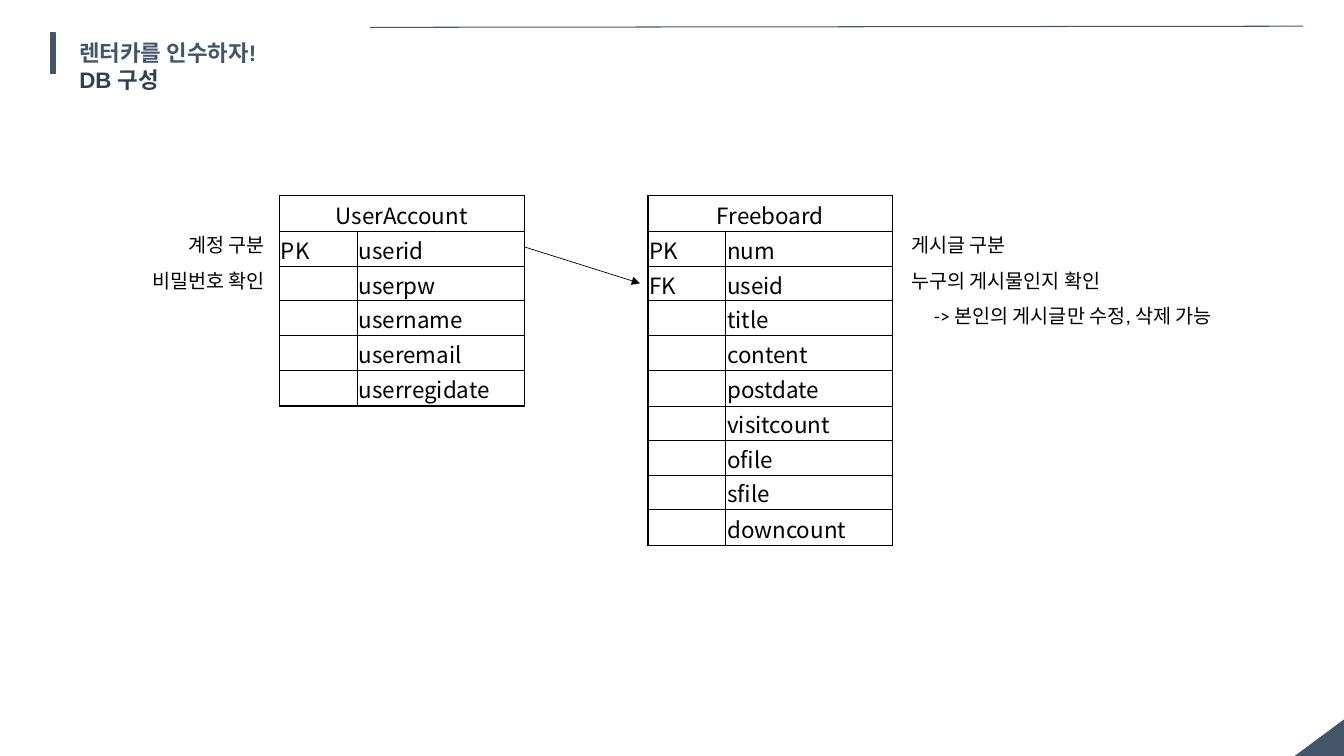
from lxml.etree import SubElement
from pptx import Presentation
from pptx.dml.color import RGBColor
from pptx.enum.shapes import MSO_CONNECTOR as Connector, MSO_SHAPE as Shape
from pptx.enum.text import MSO_ANCHOR as Anchor, PP_ALIGN as Align
from pptx.oxml import parse_xml
from pptx.oxml.ns import nsdecls, qn
from pptx.util import Cm, Pt

COLORS = {"slate": "445569", "navy": "333F50", "ink": "000000"}
TITLE_FONT, NOTE_FONT, TABLE_FONT = "Arial", "Calibri", "Noto Sans CJK KR"
THIN, THICK = Pt(0.5), Pt(1)
KEY_WIDTH, FIELD_WIDTH = 1.96, 4.21
ROW_HEIGHT, TALL_ROW_HEIGHT, TALL_ROWS = 0.87, 0.91, (0, 5, 9)


class SlideBuilder:
    def __init__(self, slide):
        self.slide = slide

    def color(self, name):
        return RGBColor.from_string(COLORS[name])

    def style(self, paragraph, font, size, color, bold=False):
        for run in paragraph.runs:
            run.font.name, run.font.size, run.font.bold = font, Pt(size), bold
            run.font.color.rgb = self.color(color)

    def block(self, kind, left, top, width, height, outlined=False, rotation=0):
        block = self.slide.shapes.add_shape(kind, Cm(left), Cm(top), Cm(width), Cm(height))
        block.shadow.inherit = False
        block.rotation = rotation
        block.fill.solid()
        block.fill.fore_color.rgb = self.color("slate")
        if outlined:
            block.line.color.rgb = self.color("slate")
            block.line.width = Pt(1)
        else:
            block.line.fill.background()

    def line(self, start, end, color, width, arrow=False):
        line = self.slide.shapes.add_connector(
            Connector.STRAIGHT, *(Cm(value) for value in (*start, *end)))
        line.line.color.rgb = self.color(color)
        line.line.width = Pt(width)
        if arrow:
            SubElement(line.line._get_or_add_ln(), qn("a:tailEnd"), type="triangle")
        SubElement(line._element.spPr, qn("a:effectLst"))

    def text(self, lines, left, top, width, height):
        box = self.slide.shapes.add_textbox(Cm(left), Cm(top), Cm(width), Cm(height))
        box.text_frame.word_wrap = True
        box.text_frame.text = "\n".join(lines)
        return box.text_frame.paragraphs

    def title(self, lines, colors, *place):
        for paragraph, color in zip(self.text(lines, *place), colors):
            self.style(paragraph, TITLE_FONT, 16, color, bold=True)

    def notes(self, lines, align, *place):
        paragraphs = self.text(lines, *place)
        for paragraph in paragraphs:
            paragraph.alignment = align
            paragraph.line_spacing = 0.9
            paragraph.space_before = Pt(10)
            self.style(paragraph, NOTE_FONT, 14, "ink")
        return paragraphs

    def borders(self, cell, widths):
        properties = cell._tc.get_or_add_tcPr()
        for index, (side, width) in enumerate(zip("LRTB", widths)):
            properties.insert(index, parse_xml(
                f'<a:ln{side} {nsdecls("a")} w="{width}"><a:solidFill>'
                f'<a:srgbClr val="{COLORS["ink"]}"/></a:solidFill></a:ln{side}>'))

    def entity(self, name, fields, left, top):
        rows = [(name, "")] + fields
        heights = [TALL_ROW_HEIGHT if row in TALL_ROWS else ROW_HEIGHT
                   for row in range(len(rows))]
        table = self.slide.shapes.add_table(
            len(rows), 2, Cm(left), Cm(top),
            Cm(KEY_WIDTH + FIELD_WIDTH), Cm(sum(heights))).table
        table.first_row = table.horz_banding = False
        for column, width in zip(table.columns, (KEY_WIDTH, FIELD_WIDTH)):
            column.width = Cm(width)
        table.cell(0, 0).merge(table.cell(0, 1))
        for row, values in enumerate(rows):
            table.rows[row].height = Cm(heights[row])
            for column, value in enumerate(values):
                cell = table.cell(row, column)
                cell.fill.background()
                cell.vertical_anchor = Anchor.MIDDLE
                cell.margin_left = cell.margin_right = cell.margin_top = Cm(0.04)
                cell.margin_bottom = 0
                cell.text_frame.text = value
                paragraph = cell.text_frame.paragraphs[0]
                paragraph.alignment = Align.LEFT if row else Align.CENTER
                self.style(paragraph, TABLE_FONT, 16, "ink")
                header = row == 0
                self.borders(cell, (
                    THICK if header or column == 0 else THIN,
                    THICK if header or column == 1 else THIN,
                    THICK if row <= 1 else THIN,
                    THICK if header or row == len(rows) - 1 else THIN))


def main():
    deck = Presentation()
    deck.slide_width, deck.slide_height = Cm(33.87), Cm(19.05)
    page = SlideBuilder(deck.slides.add_slide(deck.slide_layouts[6]))

    # Page frame and heading
    page.block(Shape.RIGHT_TRIANGLE, 32.77, 17.96, 0.94, 1.27, rotation=270)
    page.line((9.33, 0.69), (32.84, 0.66), "slate", 0.75)
    page.block(Shape.RECTANGLE, 1.27, 0.83, 0.13, 1.02, outlined=True)
    page.title(["렌터카를 인수하자!", "DB 구성"], ["slate", "navy"], 1.75, 0.86, 17.96, 1.63)

    # Account table with its notes
    page.notes(["계정 구분", "비밀번호 확인"], Align.RIGHT, 2.64, 5.82, 4.29, 4.39)
    page.entity("UserAccount", [
        ("PK", "userid"), ("", "userpw"), ("", "username"),
        ("", "useremail"), ("", "userregidate")], 7.04, 4.93)

    # Board table with its notes
    page.entity("Freeboard", [
        ("PK", "num"), ("FK", "useid"), ("", "title"), ("", "content"),
        ("", "postdate"), ("", "visitcount"), ("", "ofile"),
        ("", "sfile"), ("", "downcount")], 16.33, 4.93)
    board_notes = page.notes(
        ["게시글 구분", "누구의 게시물인지 확인", "-> 본인의 게시글만 수정, 삭제 가능"],
        Align.LEFT, 22.71, 5.82, 8.86, 4.39)
    board_notes[-1]._p.get_or_add_pPr().set("marL", str(Cm(0.58)))

    # Foreign key relation
    page.line((13.21, 6.22), (16.13, 7.14), "ink", 0.5, arrow=True)

    deck.save("out.pptx")


if __name__ == "__main__":
    main()
